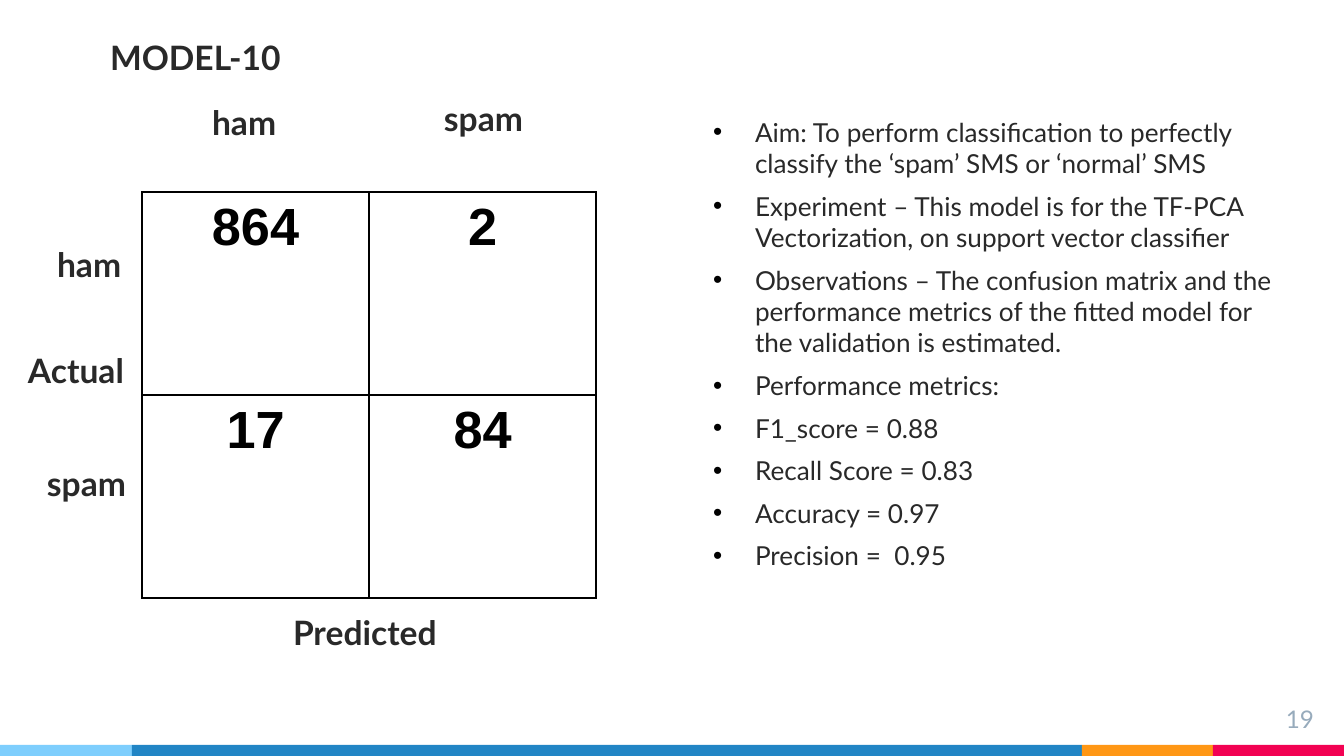
"""Build the MODEL-10 confusion matrix slide."""
from dataclasses import dataclass

from lxml.etree import SubElement
from pptx import Presentation
from pptx.dml.color import RGBColor
from pptx.enum.shapes import MSO_SHAPE as Shp
from pptx.enum.text import MSO_ANCHOR as Anchor, MSO_AUTO_SIZE as AutoSize, PP_ALIGN as Align
from pptx.oxml.ns import qn
from pptx.util import Emu, Pt

PX = 914400 / 134.4
COLORS = {
    "text": "292929", "black": "000000", "number": "97ABBC", "sky": "7ECEFD",
    "blue": "2185C5", "orange": "FF9715", "red": "F20253",
}
HEADING_SIZE, BODY_SIZE = 18, 14


@dataclass
class Box:
    x: int
    y: int
    w: int
    h: int


@dataclass
class Label:
    text: str
    box: Box


@dataclass
class Band:
    color: str
    width: int


BANDS = [Band("sky", 132), Band("blue", 950), Band("orange", 131), Band("red", 131)]
LABELS = [
    Label("spam", Box(431, 85, 121, 91)),
    Label("ham", Box(199, 89, 121, 82)),
    Label("spam", Box(34, 450, 125, 91)),
    Label("ham", Box(44, 231, 104, 91)),
    Label("Actual", Box(15, 337, 126, 91)),
    Label("Predicted", Box(280, 599, 273, 91)),
]
MATRIX = [["864", "2"], ["17", "84"]]
POINTS = [
    "Aim: To perform classification to perfectly classify the ‘spam’ SMS or ‘normal’ SMS",
    "Experiment – This model is for the TF-PCA Vectorization, on support vector classifier",
    "Observations – The confusion matrix and the performance metrics of the fitted model "
    "for the validation is estimated.",
    "Performance metrics:",
    "F1_score = 0.88",
    "Recall Score = 0.83",
    "Accuracy = 0.97",
    "Precision =  0.95",
]


def px(n: int) -> Emu:
    """Turn pixels into EMU."""
    return Emu(round(n * PX))


def emus(box: Box) -> list[Emu]:
    """Return a box as left, top, width and height."""
    return [px(n) for n in (box.x, box.y, box.w, box.h)]


def rgb(name: str) -> RGBColor:
    """Look up a colour by name."""
    return RGBColor.from_string(COLORS[name])


def add_run(p, text: str, size: int, color: str = "text", bold: bool = False,
            font: str = "Lato", align: Align = Align.LEFT) -> None:
    """Add one formatted run to a paragraph."""
    p.alignment = align
    r = p.add_run()
    r.text = text
    r.font.name, r.font.size, r.font.bold = font, Pt(size), bold
    r.font.color.rgb = rgb(color)


def set_frame(sp):
    """Prepare the text frame of a shape."""
    tf = sp.text_frame
    tf.word_wrap, tf.auto_size, tf.vertical_anchor = True, AutoSize.NONE, Anchor.TOP
    tf.margin_left = tf.margin_right = tf.margin_top = tf.margin_bottom = px(13)
    return tf


def place(sp, box: Box):
    """Move a placeholder and prepare its text frame."""
    sp.left, sp.top, sp.width, sp.height = emus(box)
    return set_frame(sp)


def add_heading(tf, text: str) -> None:
    """Write a bold heading."""
    p = tf.paragraphs[0]
    p.space_before = Pt(6)
    add_run(p, text, HEADING_SIZE, bold=True)


def add_bullet(p) -> None:
    """Give a paragraph a black hanging bullet."""
    pPr = p._p.get_or_add_pPr()
    pPr.set("marL", str(px(42)))
    pPr.set("indent", str(px(-42)))
    SubElement(SubElement(pPr, qn("a:buClr")), qn("a:srgbClr"), val=COLORS["black"])
    SubElement(pPr, qn("a:buFont"), typeface="Arial")
    SubElement(pPr, qn("a:buChar"), char="•")


def add_points(tf, points: list[str]) -> None:
    """Write the bulleted list."""
    for i, text in enumerate(points):
        p = tf.add_paragraph() if i else tf.paragraphs[0]
        p.space_before = Pt(6)
        add_bullet(p)
        add_run(p, text, BODY_SIZE)


def add_borders(cell) -> None:
    """Draw thin black lines around a cell."""
    tcPr = cell._tc.get_or_add_tcPr()
    for side in "LRTB":
        ln = SubElement(tcPr, qn(f"a:ln{side}"), w=str(Pt(0.75)))
        SubElement(SubElement(ln, qn("a:solidFill")), qn("a:srgbClr"), val=COLORS["black"])


def add_matrix(s, rows: list[list[str]], box: Box) -> None:
    """Add the confusion matrix table."""
    table = s.shapes.add_table(len(rows), len(rows[0]), *emus(box)).table
    table.first_row = table.horz_banding = False
    for i, row in enumerate(rows):
        for j, text in enumerate(row):
            cell = table.cell(i, j)
            add_borders(cell)
            cell.fill.background()
            add_run(cell.text_frame.paragraphs[0], text, 28, "black", True, "Arial", Align.CENTER)


def add_bands(s, bands: list[Band]) -> None:
    """Add the coloured strip along the bottom edge."""
    x = 0
    for band in bands:
        sp = s.shapes.add_shape(Shp.RECTANGLE, *emus(Box(x, 745, band.width, 11)))
        sp.shadow.inherit = False
        sp.fill.solid()
        sp.fill.fore_color.rgb = rgb(band.color)
        sp.line.fill.background()
        x += band.width


def main() -> None:
    """Build and save the slide."""
    prs = Presentation()
    prs.slide_width, prs.slide_height = px(1344), px(756)
    s = prs.slides.add_slide(prs.slide_layouts[1])
    add_heading(place(s.shapes.title, Box(97, 24, 273, 91)), "MODEL-10")
    add_points(place(s.placeholders[1], Box(700, 103, 609, 558)), POINTS)
    add_bands(s, BANDS)
    add_matrix(s, MATRIX, Box(142, 192, 454, 406))
    for label in LABELS:
        add_heading(set_frame(s.shapes.add_textbox(*emus(label.box))), label.text)
    tf = set_frame(s.shapes.add_textbox(*emus(Box(1246, 691, 81, 46))))
    add_run(tf.paragraphs[0], "19", 13, "number", align=Align.RIGHT)
    prs.save("out.pptx")


if __name__ == "__main__":
    main()
